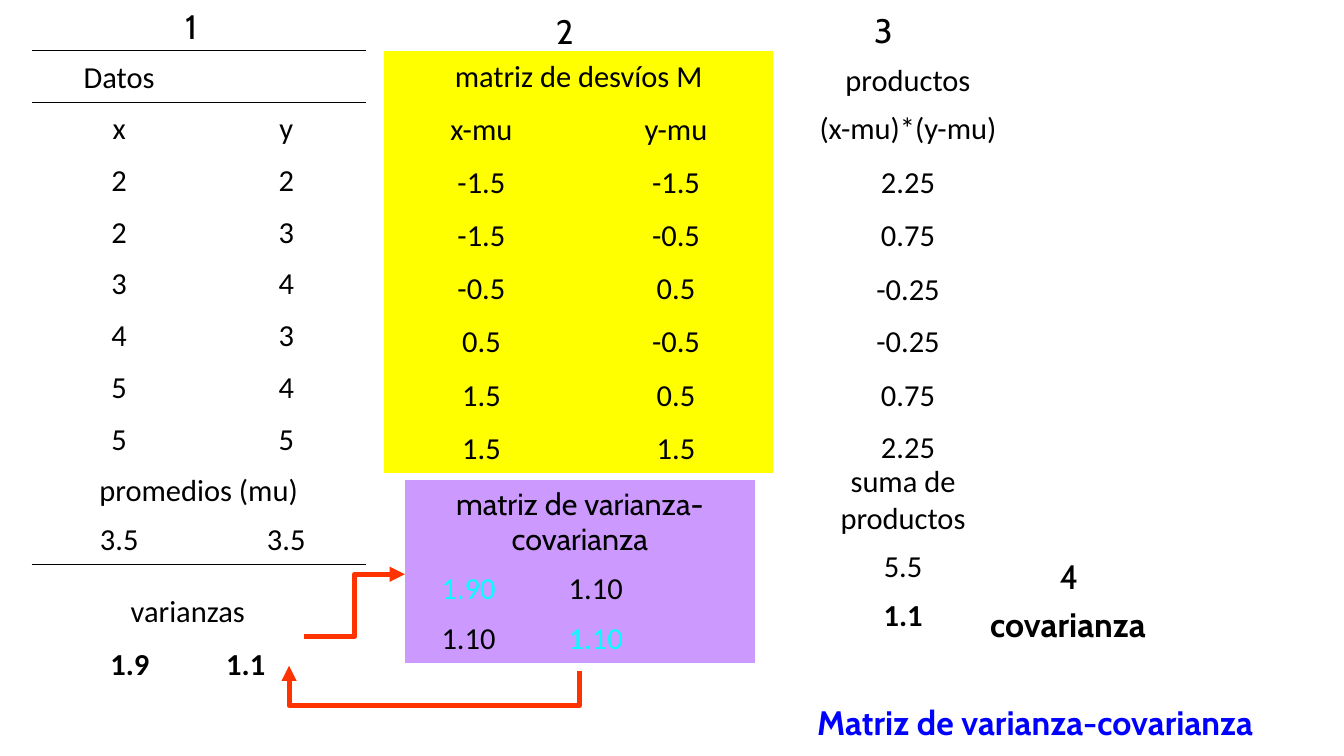
from dataclasses import dataclass, field
from typing import Optional

from lxml.etree import SubElement
from pptx import Presentation
from pptx.dml.color import RGBColor
from pptx.enum.shapes import MSO_CONNECTOR
from pptx.enum.text import MSO_ANCHOR, MSO_AUTO_SIZE, PP_ALIGN
from pptx.oxml import parse_xml
from pptx.oxml.ns import nsdecls, qn
from pptx.util import Inches, Pt

BLACK, BLUE, CYAN, RED = "000000", "0000FF", "00FFFF", "FF3300"
YELLOW, PURPLE = "FFFF00", "CC99FF"
NO_STYLE = "{2D5ABB26-0587-4C30-8999-92F81FD0307C}"


@dataclass
class Entry:
    text: str
    color: str = BLACK
    bold: bool = False
    font: str = "Calibri"
    spacing: float = 0.98


@dataclass
class Grid:
    """A table; a row with one entry spans all columns."""
    left: float
    top: float
    width: float
    height: float
    columns: list
    heights: list
    rows: list
    fill: Optional[str] = None
    rules: dict = field(default_factory=dict)


@dataclass
class Label:
    text: str
    left: float
    top: float
    width: float = 0.36
    bold: bool = False


@dataclass
class Arrow:
    """Bent arrow between two points, turned about its centre."""
    start: tuple
    end: tuple
    bend: float = 0.5
    turn: int = 0


def entries(lines: str) -> list:
    return [line.split() for line in lines.split("|")]


GRIDS = [
    Grid(0.26, 0.41, 2.74, 4.22, [1.44, 1.31], [0.42] * 9 + [0.4],
         [["Datos", ""], *entries("x y|2 2|2 3|3 4|4 3|5 4|5 5"),
          ["promedios (mu)"], ["3.5", "3.5"]],
         rules={0: "TB", 9: "B"}),
    Grid(3.15, 0.42, 3.19, 3.46, [1, 1], [0.41] + [0.44] * 7,
         [["matriz de desvíos M"],
          *entries("x-mu y-mu|-1.5 -1.5|-1.5 -0.5|-0.5 0.5|0.5 -0.5|1.5 0.5|1.5 1.5")],
         fill=YELLOW),
    Grid(6.39, 0.42, 2.11, 3.45, [1], [0.44, 0.4, 0.44, 0.44, 0.44, 0.43, 0.44, 0.43],
         entries("productos|(x-mu)*(y-mu)|2.25|0.75|-0.25|-0.25|0.75|2.25")),
    Grid(6.38, 3.75, 2.05, 2.01, [1], [0.7, 0.4, 0.4, 0.51],
         [["suma de productos"], ["5.5"], [Entry("1.1", bold=True)], [""]]),
    Grid(0.59, 4.78, 1.9, 0.87, [1, 1], [1, 1],
         [["varianzas"], [Entry("1.9", bold=True), Entry("1.1", bold=True)]]),
    Grid(3.32, 3.94, 2.87, 1.5, [1.04, 1.04, 0.39, 0.39], [0.68, 0.41, 0.41],
         [[Entry("matriz de varianza-covarianza", font="Cabin", spacing=0.93)],
          [Entry("1.90", CYAN), "1.10", "", ""],
          ["1.10", Entry("1.10", CYAN), "", ""]],
         fill=PURPLE),
]
LABELS = [
    Label("1", 1.42, 0), Label("2", 4.46, 0.04), Label("3", 7.07, 0.03),
    Label("4", 8.59, 4.51), Label("covarianza", 8.02, 4.9, 1.71, bold=True),
]
ARROWS = [
    Arrow((2.49, 5.22), (3.32, 4.71)),
    Arrow((3.54, 6.67), (3.58, 4.29), bend=-7.16, turn=270),
]


def rgb(color: str) -> RGBColor:
    return RGBColor.from_string(color)


def write(frame, text: str, *, size: int = 20, font: str = "Cabin", color: str = BLACK,
          bold: bool = False, align=PP_ALIGN.LEFT, spacing: float = 1.0) -> None:
    para = frame.paragraphs[0]
    para.alignment, para.line_spacing = align, spacing
    if text:
        span = para.add_run()
        span.text = text
        span.font.size, span.font.name, span.font.bold = Pt(size), font, bold
        span.font.color.rgb = rgb(color)


def rule_cell(cell, sides: str) -> None:
    properties = cell._tc.get_or_add_tcPr()
    for position, side in enumerate(sides):
        properties.insert(position, parse_xml(
            f'<a:ln{side} {nsdecls("a")} w="762"><a:solidFill>'
            f'<a:srgbClr val="{BLACK}"/></a:solidFill></a:ln{side}>'))


def fill_cell(cell, entry: Entry, fill: Optional[str]) -> None:
    cell.vertical_anchor = MSO_ANCHOR.BOTTOM
    if fill:
        cell.fill.solid()
        cell.fill.fore_color.rgb = rgb(fill)
    else:
        cell.fill.background()
    write(cell.text_frame, entry.text, size=18, font=entry.font, color=entry.color,
          bold=entry.bold, align=PP_ALIGN.CENTER, spacing=entry.spacing)


def draw_grid(page, grid: Grid) -> None:
    count = len(grid.columns)
    table = page.shapes.add_table(
        len(grid.rows), count, Inches(grid.left), Inches(grid.top),
        Inches(grid.width), Inches(grid.height)).table
    table.first_row = table.horz_banding = False
    table._tbl.tblPr.find(qn("a:tableStyleId")).text = NO_STYLE
    for column, share in zip(table.columns, grid.columns):
        column.width = Inches(grid.width * share / sum(grid.columns))
    for row, share in zip(table.rows, grid.heights):
        row.height = Inches(grid.height * share / sum(grid.heights))
    for index, row in enumerate(grid.rows):
        if len(row) < count:
            table.cell(index, 0).merge(table.cell(index, count - 1))
        for position, item in enumerate(row):
            cell = table.cell(index, position)
            fill_cell(cell, item if isinstance(item, Entry) else Entry(item), grid.fill)
            rule_cell(cell, grid.rules.get(index, ""))


def draw_label(page, label: Label) -> None:
    box = page.shapes.add_textbox(Inches(label.left), Inches(label.top),
                                  Inches(label.width), Inches(0.44))
    box.text_frame.word_wrap = False
    box.text_frame.auto_size = MSO_AUTO_SIZE.SHAPE_TO_FIT_TEXT
    write(box.text_frame, label.text, bold=label.bold)


def draw_arrow(page, arrow: Arrow) -> None:
    connector = page.shapes.add_connector(
        MSO_CONNECTOR.ELBOW, *map(Inches, arrow.start + arrow.end))
    connector.line.color.rgb = rgb(RED)
    connector.line.width = Pt(3)
    properties = connector._element.spPr
    SubElement(connector.line._get_or_add_ln(), qn("a:tailEnd"), type="triangle")
    SubElement(properties, qn("a:effectLst"))
    if arrow.turn:
        properties.find(qn("a:xfrm")).set("rot", str(arrow.turn * 60000))
    adjustments = properties.find(qn("a:prstGeom")).get_or_add_avLst()
    SubElement(adjustments, qn("a:gd"), name="adj1", fmla=f"val {round(arrow.bend * 100000)}")


def draw_title(page, text: str) -> None:
    title = page.shapes.title
    title.left, title.top = Inches(6.6), Inches(5.7)
    title.width, title.height = Inches(4.37), Inches(0.44)
    frame = title.text_frame
    frame.word_wrap, frame.auto_size = False, MSO_AUTO_SIZE.NONE
    frame.vertical_anchor = MSO_ANCHOR.TOP
    write(frame, text, color=BLUE, bold=True)


def main() -> None:
    deck = Presentation()
    deck.slide_width, deck.slide_height = Inches(11.02), Inches(6.2)
    page = deck.slides.add_slide(deck.slide_layouts[5])
    draw_title(page, "Matriz de varianza-covarianza")
    for grid in GRIDS:
        draw_grid(page, grid)
    for label in LABELS:
        draw_label(page, label)
    for arrow in ARROWS:
        draw_arrow(page, arrow)
    deck.save("out.pptx")


if __name__ == "__main__":
    main()
